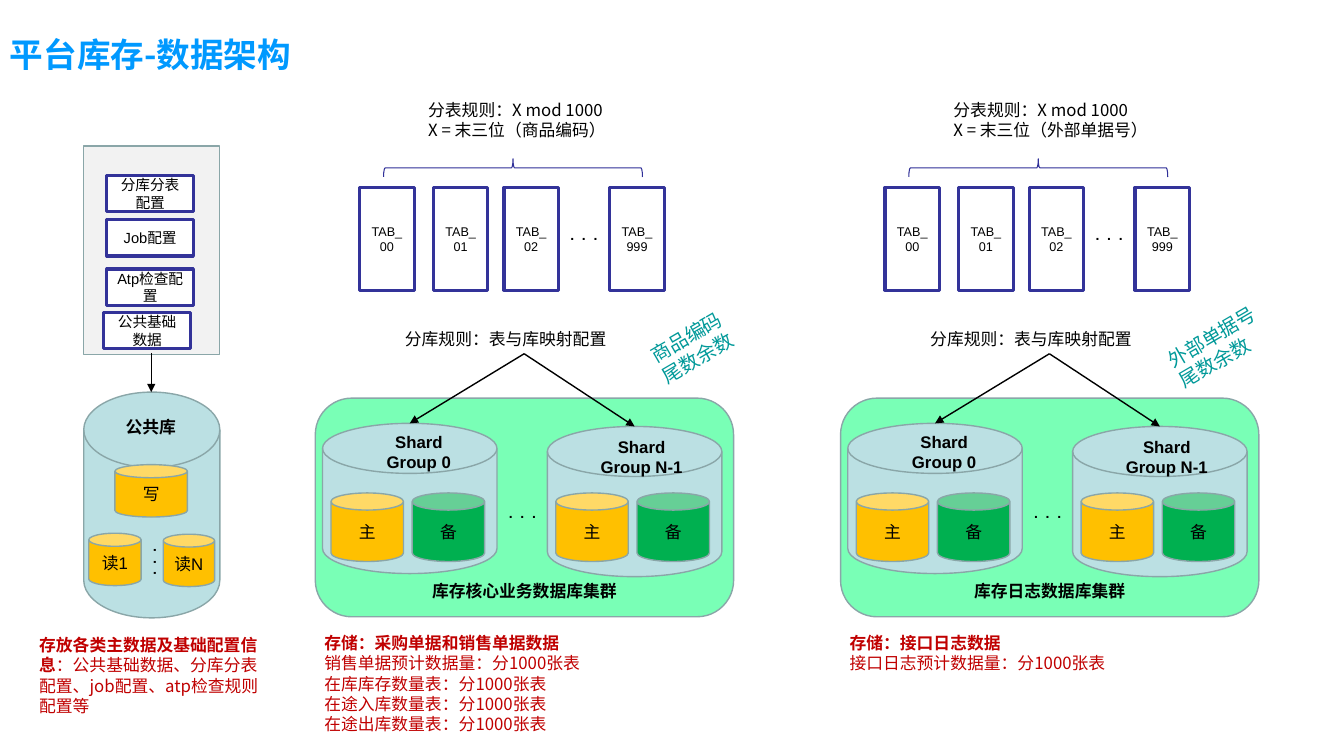
from dataclasses import dataclass

from lxml import etree
from pptx import Presentation
from pptx.dml.color import RGBColor
from pptx.enum.shapes import MSO_CONNECTOR, MSO_SHAPE
from pptx.enum.text import MSO_ANCHOR, PP_ALIGN
from pptx.oxml.ns import qn
from pptx.util import Pt

RECT, ROUND, CAN = MSO_SHAPE.RECTANGLE, MSO_SHAPE.ROUNDED_RECTANGLE, MSO_SHAPE.CAN
DISK, BRACE = MSO_SHAPE.FLOWCHART_MAGNETIC_DISK, MSO_SHAPE.RIGHT_BRACE
STRAIGHT = MSO_CONNECTOR.STRAIGHT
TOP, MIDDLE, BOTTOM = MSO_ANCHOR.TOP, MSO_ANCHOR.MIDDLE, MSO_ANCHOR.BOTTOM
LEFT, CENTER = PP_ALIGN.LEFT, PP_ALIGN.CENTER

COLORS = {
    "title": "0099FF", "black": "000000", "white": "FFFFFF", "red": "C00000",
    "teal": "009999", "panel": "F2F2F2", "cluster": "79FFB6", "disk": "BBE0E3",
    "main": "FFC000", "backup": "00B050", "edge": "8AA6A8", "frame": "333399",
    "brace": "2F2F98",
}
ARIAL, NOTO = "Arial", "Noto Sans CJK SC"
DOTS = ".  .  ."


@dataclass
class Style:
    size: float = 12
    font: str = ARIAL
    color: str = "black"
    bold: bool = False
    align: PP_ALIGN = CENTER


@dataclass
class Box:
    """A preset shape, or a text box when kind is None."""
    x: float
    y: float
    w: float
    h: float
    lines: tuple[str, ...] = ()
    style: Style | None = None
    kind: MSO_SHAPE | None = None
    fill: str | None = None
    line: str = "edge"
    weight: float = 1
    anchor: MSO_ANCHOR = MIDDLE
    rotation: float = 0
    wrap: bool = True
    lead: str = ""  # bold opening of the first paragraph


@dataclass
class Cluster:
    x: float
    name: str
    key: str
    tag: str
    tag_width: float
    store: str
    store_lines: tuple[str, ...]


CAN_TEXT = Style()
HEADING = Style(bold=True)
DOT_TEXT = Style(10, bold=True, align=LEFT)
CONFIG = Style(10.5)
TABLE = Style(9)
RULE = Style(12, NOTO, align=LEFT)
NOTE = Style(12, NOTO, "red", align=LEFT)
TAG = Style(14, NOTO, "teal", align=LEFT)
TITLE = Style(24, NOTO, "title", True, LEFT)

CLUSTERS = (
    Cluster(225.2, "库存核心业务数据库集群", "商品编码", "商品编码", 71.3,
            "存储：采购单据和销售单据数据",
            ("销售单据预计数据量：分1000张表", "在库库存数量表：分1000张表",
             "在途入库数量表：分1000张表", "在途出库数量表：分1000张表")),
    Cluster(600.4, "库存日志数据库集群", "外部单据号", "外部单据号", 85,
            "存储：接口日志数据", ("接口日志预计数据量：分1000张表",)),
)


def rgb(name: str) -> RGBColor:
    return RGBColor.from_string(COLORS[name])


def write(sp, box: Box) -> None:
    tf = sp.text_frame
    tf.word_wrap = box.wrap
    tf.vertical_anchor = box.anchor if box.kind else TOP
    st = box.style
    for i, text in enumerate(box.lines):
        p = tf.paragraphs[0] if i == 0 else tf.add_paragraph()
        p.alignment = st.align
        p.font.size, p.font.bold = Pt(st.size), st.bold
        p.font.color.rgb = rgb(st.color)
        p.font.name = st.font
        ea = etree.SubElement(p.font._element, qn("a:ea"))
        ea.set("typeface", NOTO)
        if i == 0 and box.lead:
            r = p.add_run()
            r.text, r.font.bold = box.lead, True
        if text:
            p.add_run().text = text


def draw(shapes, box: Box) -> None:
    place = Pt(box.x), Pt(box.y), Pt(box.w), Pt(box.h)
    if box.kind is None:
        sp = shapes.add_textbox(*place)
    else:
        sp = shapes.add_shape(box.kind, *place)
        sp.shadow.inherit = False
        if box.fill:
            sp.fill.solid()
            sp.fill.fore_color.rgb = rgb(box.fill)
        else:
            sp.fill.background()
        sp.line.color.rgb = rgb(box.line)
        sp.line.width = Pt(box.weight)
    sp.rotation = box.rotation
    if box.lines:
        write(sp, box)


def arrow(shapes, x1: float, y1: float, x2: float, y2: float) -> None:
    c = shapes.add_connector(STRAIGHT, Pt(x1), Pt(y1), Pt(x2), Pt(y2))
    c.line.color.rgb = rgb("black")
    c.line.width = Pt(1)
    etree.SubElement(c.line._get_or_add_ln(), qn("a:tailEnd")).set("type", "triangle")
    etree.SubElement(c._element.spPr, qn("a:effectLst"))


def can(x: float, y: float, w: float, h: float, text: str, fill: str = "main") -> Box:
    return Box(x, y, w, h, (text,), CAN_TEXT, CAN, fill)


def framed(x: float, y: float, w: float, h: float, text: str, style: Style) -> Box:
    return Box(x, y, w, h, (text,), style, RECT, "white", "frame", 2.25)


def dots(x: float, y: float, rotation: float = 0) -> Box:
    return Box(x, y, 43.2, 19.4, (DOTS,), DOT_TEXT, rotation=rotation)


def draw_common(shapes) -> None:
    # Configuration panel
    draw(shapes, Box(59.8, 104.4, 97.2, 149, kind=RECT, fill="panel"))
    for x, y, text in ((76.3, 125.3, "分库分表配置"), (76.3, 157, "Job配置"),
                       (76.3, 192.2, "Atp检查配置"), (74.2, 223.2, "公共基础数据")):
        draw(shapes, framed(x, y, 61.9, 25.9, text, CONFIG))

    # Common database
    for box in (
        Box(59.8, 280.1, 97.2, 161.3, kind=DISK, fill="disk"),
        Box(82.1, 294.5, 51.1, 21.6, ("公共库",), HEADING, wrap=False),
        can(82.1, 331.9, 51.8, 37.4, "写"),
        can(63.4, 380.9, 37.4, 37.4, "读1"),
        can(116.6, 381.6, 36.7, 37.4, "读N"),
        dots(92.2, 396.7, 90),
        Box(20.9, 450, 174.2, 65.5,
            ("：公共基础数据、分库分表配置、job配置、atp检查规则配置等",), NOTE,
            lead="存放各类主数据及基础配置信息"),
    ):
        draw(shapes, box)
    arrow(shapes, 108, 252, 108, 280.1)


def draw_cluster(shapes, c: Cluster) -> None:
    x = c.x
    # Split tables and their rule
    draw(shapes, Box(x + 73.6, 67.7, 175, 36,
                     ("分表规则：X mod 1000", f"X = 末三位（{c.key}）"), RULE))
    draw(shapes, Box(x + 134.8, 27.4, 13, 185, kind=BRACE, line="brace",
                     weight=0.75, rotation=270))
    for dx, number in ((31.8, "00"), (84.4, "01"), (134.8, "02"), (210.4, "999")):
        draw(shapes, framed(x + dx, 133.9, 38.9, 73.4, f"TAB_{number}", TABLE))
    draw(shapes, dots(x + 175.1, 158.4))

    # Cluster with its shard groups
    draw(shapes, Box(x, 284.4, 298.8, 156.2, (c.name,), HEADING, ROUND, "cluster",
                     anchor=BOTTOM))
    for dx, y, group, label_dx, label_y, label_w in (
            (5.2, 302.4, "Group 0", 38.2, 304.6, 61.2),
            (165.8, 304.6, "Group N-1", 30.2, 308.2, 74.2)):
        left = x + dx
        draw(shapes, Box(left, y, 124.6, 107.3, kind=DISK, fill="disk"))
        draw(shapes, Box(left + label_dx, label_y, label_w, 36, ("Shard", group),
                         HEADING, wrap=False))
        draw(shapes, can(left + 6, 352.1, 51.8, 49, "主"))
        draw(shapes, can(left + 64, 352.1, 51.8, 49, "备", "backup"))
        arrow(shapes, x + 149.2, 252.7, left + 62.3, y)
    draw(shapes, dots(x + 131.2, 357.1))

    # Database rule, slanted tag and storage note
    draw(shapes, Box(x + 57, 231.1, 185, 21.6, ("分库规则：表与库映射配置",), RULE))
    draw(shapes, Box(x + 269.6 - c.tag_width / 2, 227.5, c.tag_width, 41,
                     (c.tag, "尾数余数"), TAG, rotation=329.8, wrap=False))
    draw(shapes, Box(x - 0.6, 448.6, 340, 80, ("", *c.store_lines), NOTE, lead=c.store))


def main() -> None:
    prs = Presentation()
    prs.slide_width, prs.slide_height = Pt(960), Pt(540)
    shapes = prs.slides.add_slide(prs.slide_layouts[6]).shapes
    draw(shapes, Box(0, 20.9, 463.7, 36.7, ("平台库存-数据架构",), TITLE))
    draw_common(shapes)
    for cluster in CLUSTERS:
        draw_cluster(shapes, cluster)
    prs.save("out.pptx")


if __name__ == "__main__":
    main()
